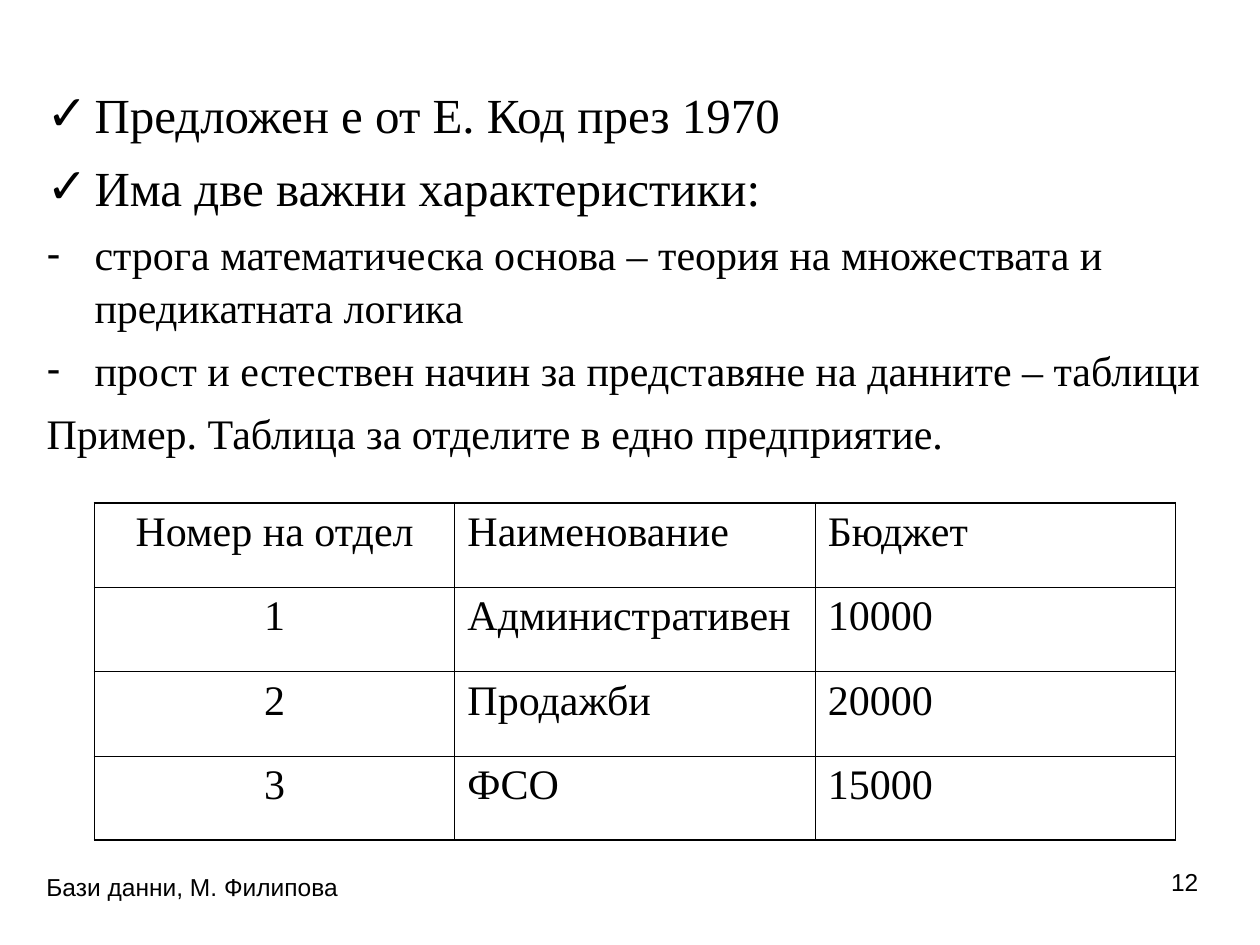
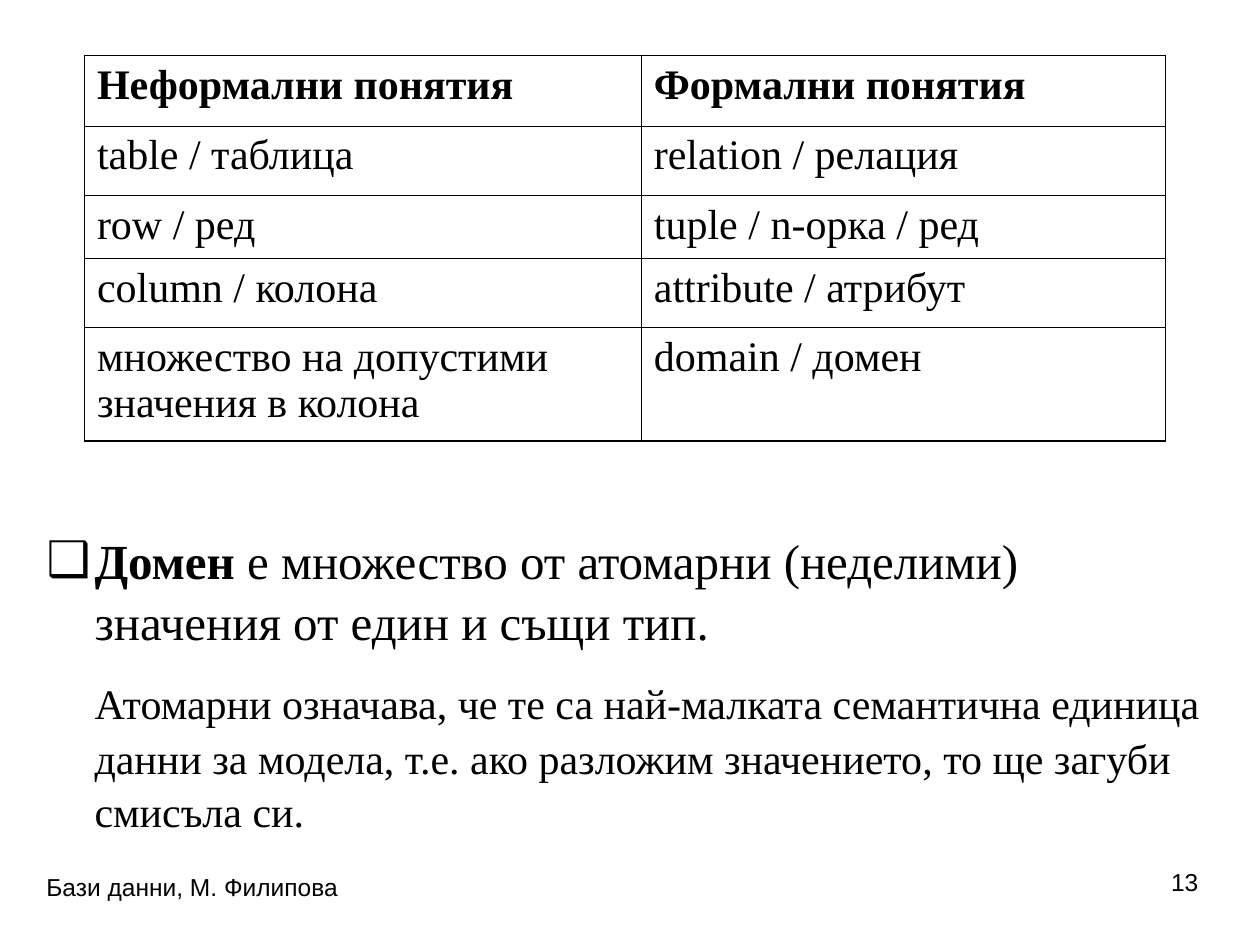
"""Build two lecture slides on the relational data model."""
from lxml import etree
from pptx import Presentation
from pptx import util as u
from pptx.dml import color
from pptx.enum import text
from pptx.oxml import ns

SCALE = 9144
SERIF, SANS = "Times New Roman", "Arial"
BLACK = "000000"
OUTER, INNER = 1.08, 0.45
HANG = 38


def px(length):
    return u.Emu(length * SCALE)


def rgb(value):
    return color.RGBColor.from_string(value)


def add_fill(parent, tag, value):
    fill = etree.SubElement(parent, ns.qn(tag))
    etree.SubElement(fill, ns.qn("a:srgbClr"), val=value)


class Lecture:
    def __init__(self):
        self.deck = Presentation()
        self.deck.slide_width, self.deck.slide_height = px(1000), px(750)
        self.slide = None

    def start_slide(self, number):
        self.slide = self.deck.slides.add_slide(self.deck.slide_layouts[1])
        heading = self.slide.shapes.title
        heading.element.getparent().remove(heading.element)
        self.footer("Бази данни, М. Филипова", 27, 687, 317)
        self.footer(str(number), 728, 683, 233, text.PP_ALIGN.RIGHT)

    def style(self, paragraph, size, face=SERIF, bold=None):
        font = paragraph.font
        font.name, font.bold = face, bold
        font.color.rgb = rgb(BLACK)
        if size:
            font.size = u.Pt(size)

    def footer(self, wording, left, top, width, align=text.PP_ALIGN.LEFT):
        box = self.slide.shapes.add_textbox(px(left), px(top), px(width), px(52))
        box.text_frame.word_wrap = True
        line = box.text_frame.paragraphs[0]
        line.text, line.alignment = wording, align
        self.style(line, 14, SANS)

    def bullet(self, paragraph, mark, hanging):
        props = paragraph._p.get_or_add_pPr()
        props.set("marL", str(px(HANG)))
        props.set("indent", str(-px(HANG) if hanging else 0))
        if not mark:
            etree.SubElement(props, ns.qn("a:buNone"))
            return
        add_fill(props, "a:buClr", BLACK)
        etree.SubElement(props, ns.qn("a:buFont"), typeface=SANS)
        etree.SubElement(props, ns.qn("a:buChar"), char=mark)

    def body(self, top, height, points):
        """Fill the body placeholder with (mark, space before, runs) points."""
        holder = self.slide.placeholders[1]
        holder.left, holder.top, holder.width, holder.height = map(px, (27, top, 945, height))
        frame = holder.text_frame
        frame.auto_size = text.MSO_AUTO_SIZE.NONE
        for index, (mark, before, runs) in enumerate(points):
            point = frame.add_paragraph() if index else frame.paragraphs[0]
            self.bullet(point, mark, hanging=True)
            point.space_before = u.Pt(before if index else 0)
            point.line_spacing = 1.04
            sizes = {size for _, size, _ in runs}
            self.style(point, sizes.pop() if len(sizes) == 1 else None)
            for wording, size, bold in runs:
                run = point.add_run()
                run.text = wording
                if sizes:
                    run.font.size = u.Pt(size)
                if bold:
                    run.font.bold = True

    def borders(self, cell, edges):
        props = cell._tc.get_or_add_tcPr()
        for index, (side, width) in enumerate(edges.items()):
            line = etree.Element(ns.qn(f"a:ln{side}"), w=str(u.Pt(width)))
            add_fill(line, "a:solidFill", BLACK)
            props.insert(index, line)

    def table(self, left, top, widths, heights, rows, centred=(), bold_head=False):
        frame = self.slide.shapes.add_table(
            len(rows), len(widths), px(left), px(top), px(sum(widths)), px(sum(heights)))
        grid = frame.table
        grid.first_row = grid.horz_banding = False
        for column, width in zip(grid.columns, widths):
            column.width = px(width)
        for r, (height, row) in enumerate(zip(heights, rows)):
            grid.rows[r].height = px(height)
            for c, wording in enumerate(row):
                cell = grid.cell(r, c)
                cell.fill.background()
                outside = {"L": c == 0, "R": c == len(widths) - 1,
                           "T": r == 0, "B": r == len(rows) - 1}
                self.borders(cell, {s: OUTER if out else INNER for s, out in outside.items()})
                entry = cell.text_frame.paragraphs[0]
                entry.text = wording
                if c in centred:
                    entry.alignment = text.PP_ALIGN.CENTER
                self.style(entry, 24, bold=bold_head and r == 0)


def main():
    lecture = Lecture()

    lecture.start_slide(12)
    lecture.body(60, 315, [
        ("✓", 7, [("Предложен е от Е. Код през 1970", 28, False)]),
        ("✓", 7, [("Има две важни характеристики:", 28, False)]),
        ("-", 6, [("строга математическа основа – теория на множествата и "
                   "предикатната логика", 24, False)]),
        ("-", 6, [("прост и естествен начин за представяне на данните – таблици", 24, False)]),
        (None, 6, [("Пример. Таблица за отделите в едно предприятие.", 24, False)]),
    ])
    lecture.table(75, 399, [286] * 3, [67] * 4, [
        ("Номер на отдел", "Наименование", "Бюджет"),
        ("1", "Административен", "10000"),
        ("2", "Продажби", "20000"),
        ("3", "ФСО", "15000"),
    ], centred=(0,))

    lecture.start_slide(13)
    lecture.body(414, 268, [
        ("❑", 7, [("Домен", 28, True),
                  (" е множество от атомарни (неделими) значения от един и същи тип.", 28, False)]),
        (None, 6, [("\t", 32, False),
                   ("Атомарни означава, че те са най-малката семантична единица данни за модела, "
                    "т.е. ако разложим значението, то ще загуби смисъла си.", 24, False)]),
    ])
    lecture.table(67, 44, [442, 416], [56, 55, 50, 55, 90], [
        ("Неформални понятия", "Формални понятия"),
        ("table / таблица", "relation / релация"),
        ("row / ред", "tuple / n-орка / ред"),
        ("column / колона", "attribute / атрибут"),
        ("множество на допустими значения в колона", "domain / домен"),
    ], bold_head=True)

    lecture.deck.save("out.pptx")


if __name__ == "__main__":
    main()
